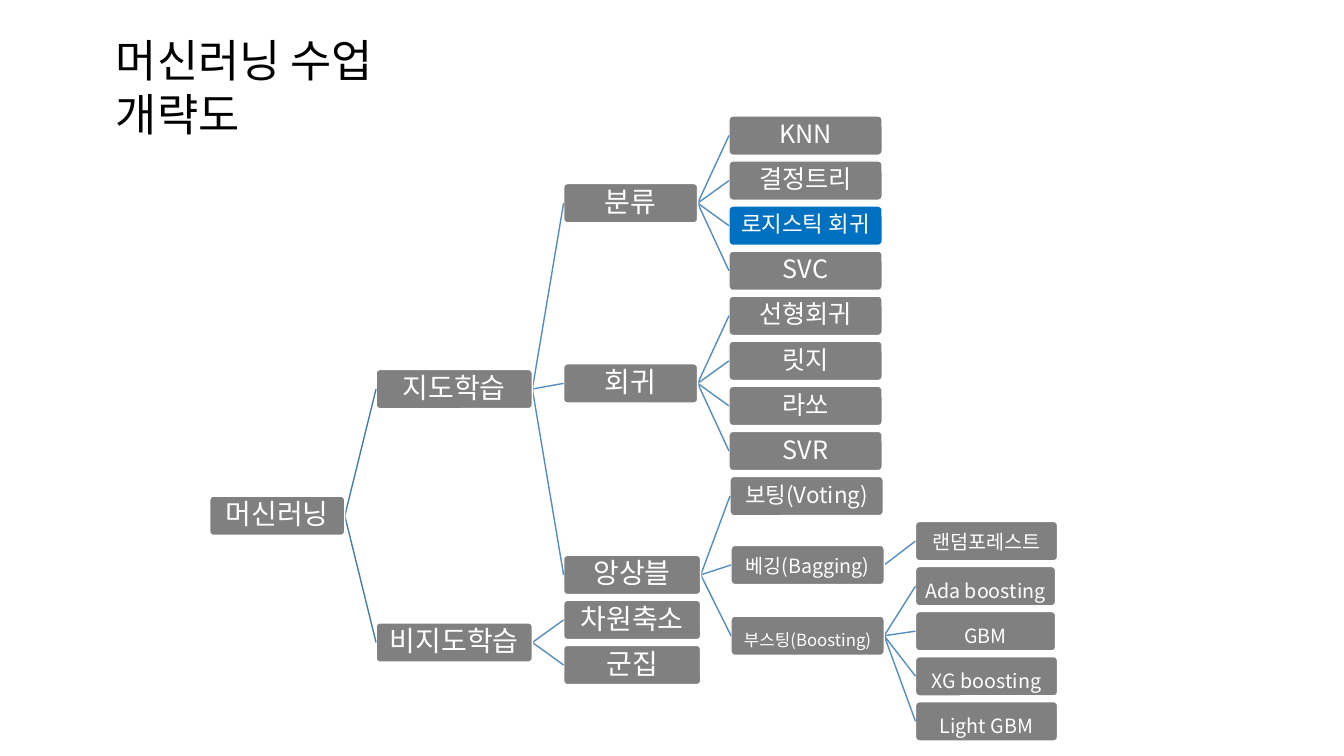
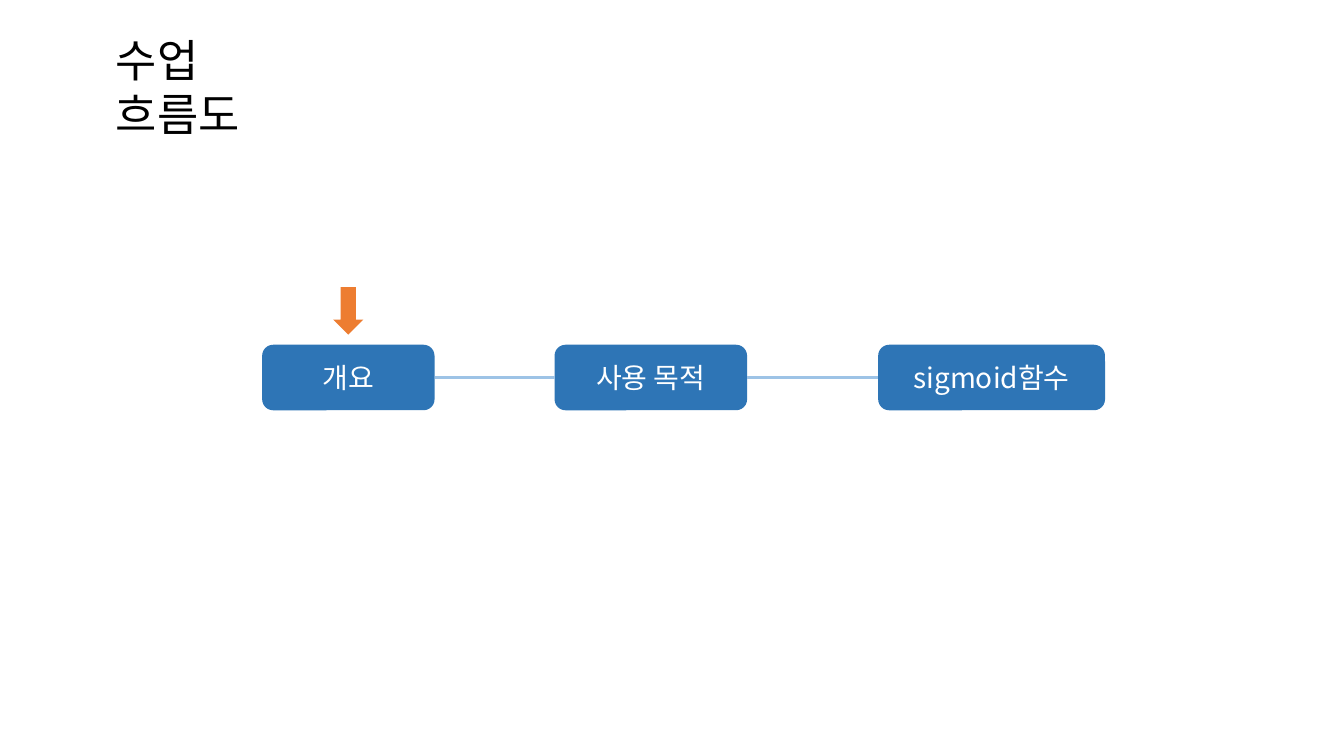
from dataclasses import dataclass
from itertools import pairwise
from typing import Optional

from lxml import etree
from pptx import Presentation
from pptx import util as u
from pptx.dml.color import RGBColor
from pptx.enum import shapes, text
from pptx.oxml import ns

FONT = "Noto Sans CJK KR"
COLORS = {
    "black": "000000",
    "white": "FFFFFF",
    "node": "808080",
    "current": "0070C0",
    "root_branch": "497CAB",
    "branch": "538DC1",
    "step": "2E75B6",
    "step_link": "9DC3E6",
    "marker": "ED7D31",
}

COLUMN_LEFTS = (2.08, 3.73, 5.59, 7.23, 9.08)
COLUMN_WIDTHS = (1.34, 1.55, 1.33, 1.52, 1.41)
COLUMN_SIZES = (20, 20, 20, 18, 14)
FIRST_ROW_TOP = 1.15
ROW_PITCH = 0.447
NODE_HEIGHT = 0.39
INSET = 0.02
LOW_INSET = 0.13

STEP_TOP = 3.42
STEP_HEIGHT = 0.65


@dataclass(frozen=True)
class Node:
    label: str
    children: tuple["Node", ...] = ()
    row: Optional[float] = None
    size: Optional[int] = None
    width: Optional[float] = None
    shift: float = 0
    fill: str = "node"
    top_inset: float = INSET
    spacing: float | u.Pt = 0.9

    def center_row(self) -> float:
        if self.row is not None:
            return self.row
        return (self.children[0].center_row() + self.children[-1].center_row()) / 2


@dataclass(frozen=True)
class Step:
    label: str
    left: float
    width: float


TREE = Node("머신러닝", (
    Node("지도학습", (
        Node("분류", (
            Node("KNN", row=0),
            Node("결정트리", row=1),
            Node("로지스틱 회귀", row=2, size=16, fill="current"),
            Node("SVC", row=3),
        )),
        Node("회귀", (
            Node("선형회귀", row=4),
            Node("릿지", row=5),
            Node("라쏘", row=6),
            Node("SVR", row=7),
        )),
        Node("앙상블", (
            Node("보팅(Voting)", row=8, size=16, shift=0.01),
            Node("베깅(Bagging)", (
                Node("랜덤포레스트", row=9, top_inset=LOW_INSET, spacing=u.Pt(10)),
            ), row=9.53, size=14, shift=0.02, top_inset=LOW_INSET, spacing=u.Pt(10)),
            Node("부스팅(Boosting)", (
                Node("Ada boosting", row=10, width=1.39, top_inset=LOW_INSET),
                Node("GBM", row=11, width=1.39, top_inset=LOW_INSET),
                Node("XG boosting", row=12, top_inset=LOW_INSET),
                Node("Light GBM", row=13, top_inset=LOW_INSET),
            ), row=11.1, size=12, shift=0.02, top_inset=LOW_INSET),
        ), row=9.75, width=1.36),
    )),
    Node("비지도학습", (
        Node("차원축소", row=10.75, width=1.36),
        Node("군집", row=11.75, width=1.36),
    )),
))

STEPS = (
    Step("개요", 2.6, 1.71),
    Step("사용 목적", 5.5, 1.91),
    Step("sigmoid함수", 8.71, 2.25),
)


def color(name: str) -> RGBColor:
    return RGBColor.from_string(COLORS[name])


def write(frame, label: str, size: int, ink: str, align) -> None:
    paragraph = frame.paragraphs[0]
    paragraph.text = label
    paragraph.alignment = align
    font = paragraph.font
    font.size = u.Pt(size)
    font.color.rgb = color(ink)
    font.name = FONT
    properties = paragraph._p.pPr.find(ns.qn("a:defRPr"))
    etree.SubElement(properties, ns.qn("a:ea"), typeface=FONT)


def add_title(slide, label: str, width: float) -> None:
    box = slide.shapes.add_textbox(
        u.Inches(1.05), u.Inches(0.28), u.Inches(width), u.Inches(0.64))
    box.text_frame.word_wrap = True
    box.text_frame.auto_size = text.MSO_AUTO_SIZE.SHAPE_TO_FIT_TEXT
    write(box.text_frame, label, 32, "black", text.PP_ALIGN.LEFT)


def add_block(slide, kind, left: float, top: float, width: float, height: float, fill: str):
    shape = slide.shapes.add_shape(
        kind, u.Inches(left), u.Inches(top), u.Inches(width), u.Inches(height))
    shape.shadow.inherit = False
    shape.fill.solid()
    shape.fill.fore_color.rgb = color(fill)
    shape.line.fill.background()
    return shape


def add_label(shape, label: str, size: int) -> None:
    frame = shape.text_frame
    frame.word_wrap = True
    frame.vertical_anchor = text.MSO_ANCHOR.MIDDLE
    write(frame, label, size, "white", text.PP_ALIGN.CENTER)


def add_line(slide, start: tuple[float, float], end: tuple[float, float],
             ink: str, weight: float) -> None:
    connector = slide.shapes.add_connector(
        shapes.MSO_CONNECTOR.STRAIGHT, *(u.Inches(value) for value in (*start, *end)))
    connector.line.color.rgb = color(ink)
    connector.line.width = u.Pt(weight)
    etree.SubElement(connector._element.spPr, ns.qn("a:effectLst"))


def draw_node(slide, node: Node, depth: int = 0) -> tuple[float, float]:
    left = COLUMN_LEFTS[depth] + node.shift
    top = FIRST_ROW_TOP + ROW_PITCH * node.center_row()
    width = node.width or COLUMN_WIDTHS[depth]
    middle = top + NODE_HEIGHT / 2
    for child in node.children:
        add_line(slide, (left + width, middle), draw_node(slide, child, depth + 1),
                 "branch" if depth else "root_branch", 1)
    shape = add_block(slide, shapes.MSO_SHAPE.ROUNDED_RECTANGLE,
                      left, top, width, NODE_HEIGHT, node.fill)
    shape.adjustments[0] = 0.1
    shape.line.color.rgb = color("white")
    shape.line.width = u.Pt(1)
    frame = shape.text_frame
    frame.margin_left = frame.margin_right = frame.margin_bottom = u.Inches(INSET)
    frame.margin_top = u.Inches(node.top_inset)
    frame.paragraphs[0].line_spacing = node.spacing
    add_label(shape, node.label, node.size or COLUMN_SIZES[depth])
    return left, middle


def draw_steps(slide, steps: tuple[Step, ...]) -> None:
    for step in steps:
        shape = add_block(slide, shapes.MSO_SHAPE.ROUNDED_RECTANGLE,
                          step.left, STEP_TOP, step.width, STEP_HEIGHT, "step")
        add_label(shape, step.label, 20)
    middle = STEP_TOP + STEP_HEIGHT / 2
    for before, after in pairwise(steps):
        add_line(slide, (before.left + before.width, middle), (after.left, middle),
                 "step_link", 1.5)


def add_marker(slide, step: Step) -> None:
    width = 0.3
    add_block(slide, shapes.MSO_SHAPE.DOWN_ARROW,
              step.left + (step.width - width) / 2, 2.85, width, 0.47, "marker")


def main() -> None:
    presentation = Presentation()
    presentation.slide_width = u.Inches(13.33)
    presentation.slide_height = u.Inches(7.5)
    blank = presentation.slide_layouts[6]

    overview = presentation.slides.add_slide(blank)
    draw_node(overview, TREE)
    add_title(overview, "머신러닝 수업 개략도", 3.95)

    flow = presentation.slides.add_slide(blank)
    draw_steps(flow, STEPS)
    add_marker(flow, STEPS[0])
    add_title(flow, "수업 흐름도", 2.18)

    presentation.save("out.pptx")


if __name__ == "__main__":
    main()
